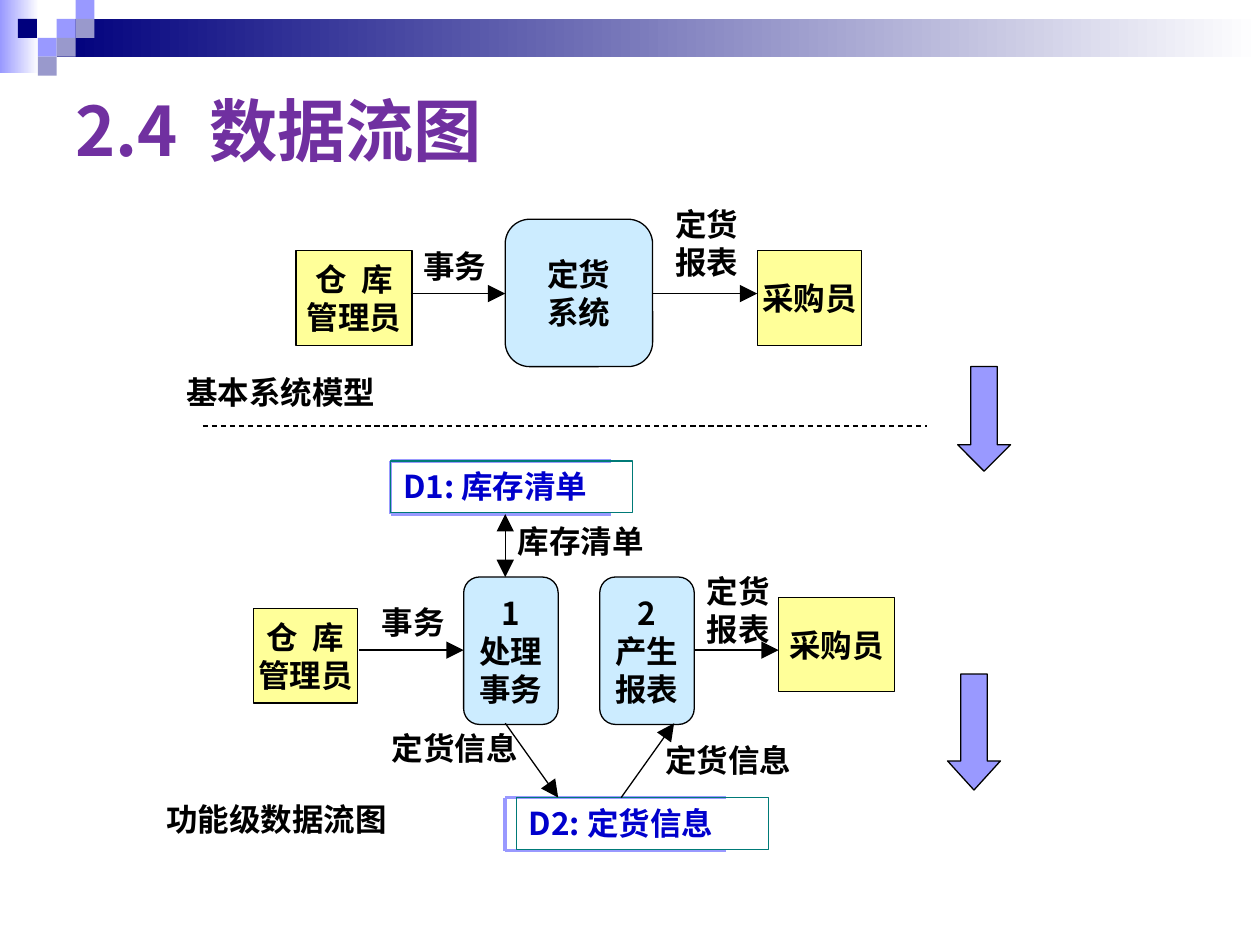
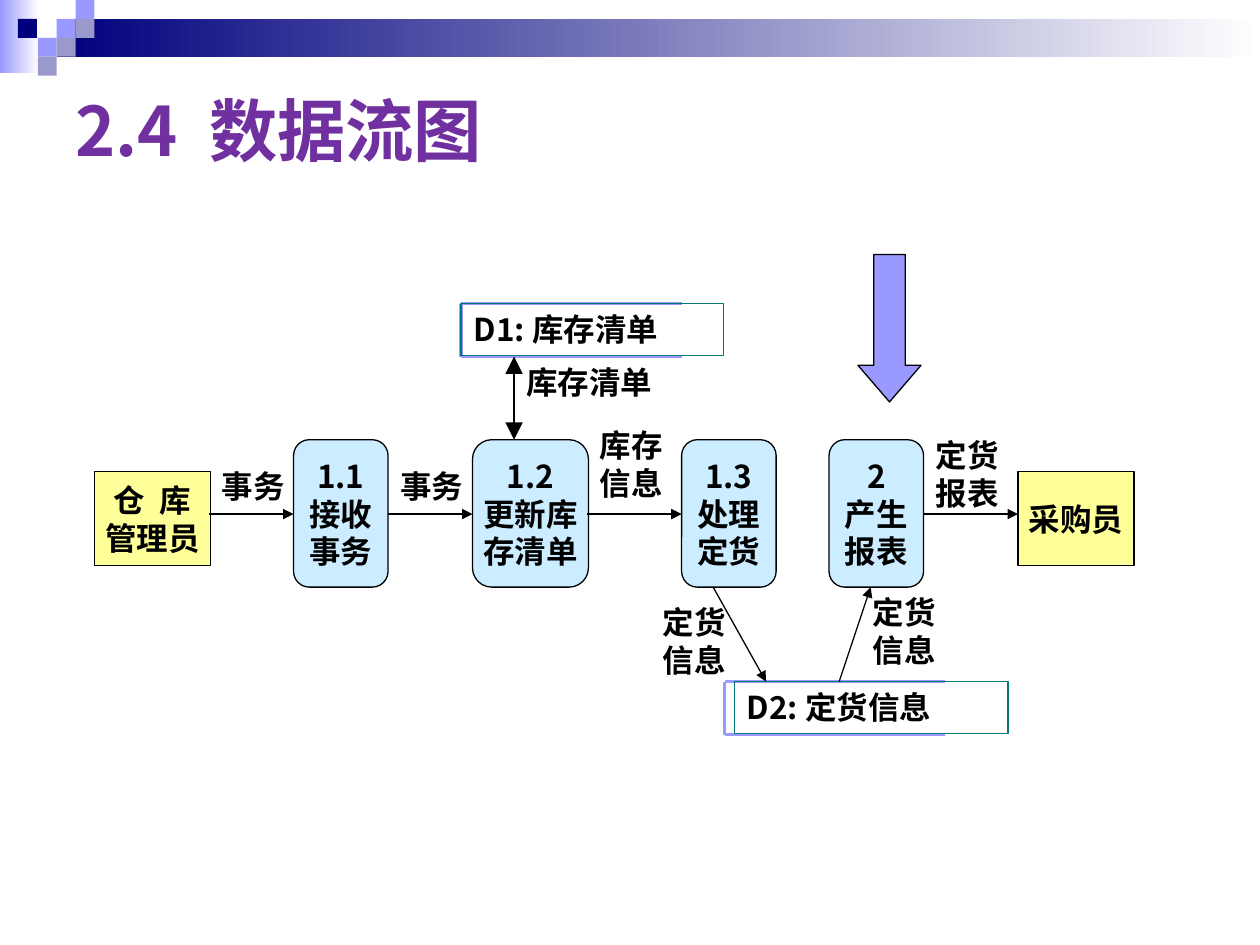
from dataclasses import dataclass
from typing import Any

from lxml import etree
from pptx import Presentation
from pptx import util as u
from pptx.dml.color import RGBColor
from pptx.enum import dml, shapes, text
from pptx.oxml import ns

SANS = "Noto Sans CJK SC"
TITLE_FONT = "Noto Sans CJK JP"
SERIF = "Times New Roman"
BLACK, NAVY, PURPLE, BLUE = "000000", "00007D", "7030A0", "0000CC"
LILAC, GREY_LILAC, WHITE = "9999FF", "9999CC", "FFFFFF"
YELLOW, SKY, TEAL = "FFFF99", "CCECFF", "007A77"
KIND = shapes.MSO_SHAPE
CELL = 0.15


def colour(value):
    return RGBColor.from_string(value)


def inches(*lengths):
    return [u.Inches(length) for length in lengths]


def format_text(frame, size, fill, latin=SANS, asian=SANS, align=text.PP_ALIGN.LEFT):
    for para in frame.paragraphs:
        para.alignment = align
        for span in para.runs:
            span.font.size = u.Pt(size)
            span.font.bold = True
            span.font.name = latin
            span.font.color.rgb = colour(fill)
            properties = span.font.color and para.runs[0].font
            east = etree.Element(ns.qn("a:ea"), typeface=asian)
            span._r.get_or_add_rPr().find(ns.qn("a:latin")).addnext(east)


def add_block(page, kind, box, fill=None, line=None):
    block = page.shapes.add_shape(kind, *inches(*box))
    block.shadow.inherit = False
    if fill:
        block.fill.solid()
        block.fill.fore_color.rgb = colour(fill)
    else:
        block.fill.background()
    if line:
        block.line.color.rgb = colour(line)
        block.line.width = u.Pt(0.75)
    else:
        block.line.fill.background()
    return block


def add_line(page, start, end, stroke=BLACK, width=0.75):
    line = page.shapes.add_connector(shapes.MSO_CONNECTOR.STRAIGHT, *inches(*start, *end))
    line.line.color.rgb = colour(stroke)
    line.line.width = u.Pt(width)
    etree.SubElement(line.element.spPr, ns.qn("a:effectLst"))
    return line


def add_label(page, words, box, latin=SANS):
    label = page.shapes.add_textbox(*inches(*box))
    label.text_frame.word_wrap = True
    label.text_frame.text = words
    format_text(label.text_frame, 18, BLACK, latin)


def add_down_arrow(page, box, head):
    arrow = add_block(page, KIND.DOWN_ARROW, box, LILAC, BLACK)
    arrow.adjustments[1] = head


@dataclass
class Region:
    page: Any
    left: float
    top: float

    def place(self, x, y):
        return self.left + x, self.top + y

    def node(self, kind, words, box, fill):
        x, y, width, height = box
        node = add_block(self.page, kind, (*self.place(x, y), width, height), fill, BLACK)
        frame = node.text_frame
        frame.text = words
        frame.word_wrap = False
        frame.vertical_anchor = text.MSO_ANCHOR.MIDDLE
        format_text(frame, 18, BLACK, align=text.PP_ALIGN.CENTER)

    def entity(self, words, x, y, width=0.92):
        self.node(KIND.RECTANGLE, words, (x, y, width, 0.75), YELLOW)

    def process(self, words, x, y, width=0.75):
        self.node(KIND.ROUNDED_RECTANGLE, words, (x, y, width, 1.17), SKY)

    def label(self, words, x, y, width=0.75, height=0.4):
        add_label(self.page, words, (*self.place(x, y), width, height))

    def flow(self, start, end, size="lg", both=False):
        line = add_line(self.page, self.place(*start), self.place(*end))
        outline = line.line._get_or_add_ln()
        for tag in ["a:headEnd"] * both + ["a:tailEnd"]:
            etree.SubElement(outline, ns.qn(tag), type="triangle", w=size, len=size)

    def store(self, words, x, y, width, shift=0, fill=BLACK):
        left, top = self.place(x, y)
        right, bottom = left + 1.75, top + 0.42
        for start, end in [
            ((left, top), (right, top)),
            ((left, top), (left, bottom)),
            ((left, bottom), (right, bottom)),
        ]:
            add_line(self.page, start, end, LILAC, 2)
        frame = add_block(self.page, KIND.RECTANGLE, (left + shift, top, width, 0.41), line=TEAL)
        frame.text_frame.text = words
        frame.text_frame.word_wrap = True
        frame.text_frame.vertical_anchor = text.MSO_ANCHOR.TOP
        format_text(frame.text_frame, 18, fill)


def add_band(page, layout):
    parts = []
    for box, start in [((0, 0, 0.31, 0.58), LILAC), ((0.45, CELL, 9.55, 0.3), NAVY)]:
        part = add_block(page, KIND.RECTANGLE, box, start)
        part.fill.gradient()
        part.fill.gradient_angle = 0
        for stop, value, position in zip(part.fill.gradient_stops, (start, WHITE), (0, 1)):
            stop.color.rgb = colour(value)
            stop.position = position
        parts.append(part)
    for column, row, fill in [
        (3, 1, LILAC), (4, 0, LILAC), (4, 1, GREY_LILAC), (2, 2, LILAC),
        (0.95, 1, NAVY), (3, 2, GREY_LILAC), (2, 3, GREY_LILAC),
    ]:
        box = (column * CELL, row * CELL, CELL, CELL)
        parts.append(add_block(page, KIND.RECTANGLE, box, fill))
    for part in parts:
        layout.shapes.element.append(part.element)


def add_page(deck, layout):
    page = deck.slides.add_slide(layout)
    title = page.shapes.title
    title.left, title.top, title.width, title.height = inches(0.5, 0.5, 9, 1.05)
    title.text_frame.text = "2.4  数据流图"
    title.text_frame.vertical_anchor = text.MSO_ANCHOR.MIDDLE
    format_text(title.text_frame, 39, PURPLE, TITLE_FONT, TITLE_FONT)
    return page


def draw_basic_model(page, left, top):
    region = Region(page, left, top)
    region.entity("仓  库\n管理员", 0, 0.41)
    region.process("定货\n系统", 1.66, 0.16, 1.17)
    region.entity("采购员", 3.66, 0.41, 0.83)
    region.flow((0.91, 0.75), (1.66, 0.75))
    region.flow((2.83, 0.75), (3.66, 0.75))
    region.label("事务", 0.91, 0.33)
    region.label("定货报表", 2.91, 0, height=0.7)


def draw_function_level(page, left, top):
    region = Region(page, left, top)
    region.store("D1: 库存清单", 1.09, 0, 1.92, fill=BLUE)
    region.store("D2: 定货信息", 2, 2.67, 2, 0.09, BLUE)
    region.entity("仓  库\n管理员", 0, 1.17, 0.83)
    region.process("1\n处理\n事务", 1.67, 0.92)
    region.process("2\n产生\n报表", 2.75, 0.92)
    region.entity("采购员", 4.17, 1.08)
    region.flow((2, 0.42), (2, 0.92), both=True)
    for start, end in [
        ((0.84, 1.5), (1.67, 1.5)),
        ((3.5, 1.5), (4.17, 1.5)),
        ((2, 2.08), (2.42, 2.67)),
        ((2.92, 2.67), (3.34, 2.08)),
    ]:
        region.flow(start, end)
    region.label("事务", 0.92, 1.08)
    region.label("定货报表", 3.5, 0.83, height=0.7)
    region.label("定货信息", 1, 2.08, 1.42)
    region.label("定货信息", 3.17, 2.17, 1.25)
    region.label("库存清单", 2, 0.43, 1.42)


def draw_refined_level(page, left, top):
    region = Region(page, left, top)
    for words, x in [("仓  库\n管理员", 0), ("采购员", 7.33)]:
        region.entity(words, x, 1.33)
    for words, x, width in [
        ("1.1\n接收\n事务", 1.58, 0.75),
        ("1.2\n更新库\n存清单", 3, 0.92),
        ("1.3\n处理\n定货", 4.66, 0.75),
        ("2\n产生\n报表", 5.83, 0.75),
    ]:
        region.process(words, x, 1.08, width)
    region.store("D1: 库存清单", 2.91, 0, 2.08)
    region.store("D2: 定货信息", 5, 3, 2.17, 0.08)
    region.flow((3.33, 0.42), (3.33, 1.08), both=True)
    for start, end in [(0.91, 1.58), (2.33, 3), (3.91, 4.66), (6.58, 7.33)]:
        region.flow((start, 1.67), (end, 1.67), "med")
    region.flow((4.91, 2.25), (5.33, 3), "med")
    region.flow((5.91, 3), (6.16, 2.25), "med")
    for x in (0.91, 2.33):
        region.label("事务", x, 1.25)
    for words, x, y in [
        ("库存信息", 3.91, 0.92),
        ("定货信息", 4.41, 2.33),
        ("定货信息", 6.08, 2.25),
        ("定货报表", 6.58, 1),
    ]:
        region.label(words, x, y, height=0.7)
    region.label("库存清单", 3.33, 0.42, 1.42)


def main():
    deck = Presentation()
    deck.slide_width, deck.slide_height = inches(10, 7.5)
    layout = deck.slide_layouts.get_by_name("Title Only")

    overview = add_page(deck, layout)
    add_band(overview, layout)
    add_label(overview, "基本系统模型", (1.38, 2.91, 1.75, 0.4), SERIF)
    add_label(overview, "功能级数据流图", (1.22, 6.3, 2.08, 0.4), SERIF)
    draw_basic_model(overview, 2.35, 1.58)
    draw_function_level(overview, 2.01, 3.66)
    divider = add_line(overview, (1.61, 3.38), (7.36, 3.38))
    divider.line.dash_style = dml.MSO_LINE.DASH
    add_down_arrow(overview, (7.6, 2.91, 0.42, 0.83), 0.5)
    add_down_arrow(overview, (7.52, 5.35, 0.42, 0.92), 0.55)

    refinement = add_page(deck, layout)
    add_down_arrow(refinement, (6.81, 2.02, 0.5, 1.17), 0.58)
    draw_refined_level(refinement, 0.75, 2.41)

    deck.save("out.pptx")


if __name__ == "__main__":
    main()
